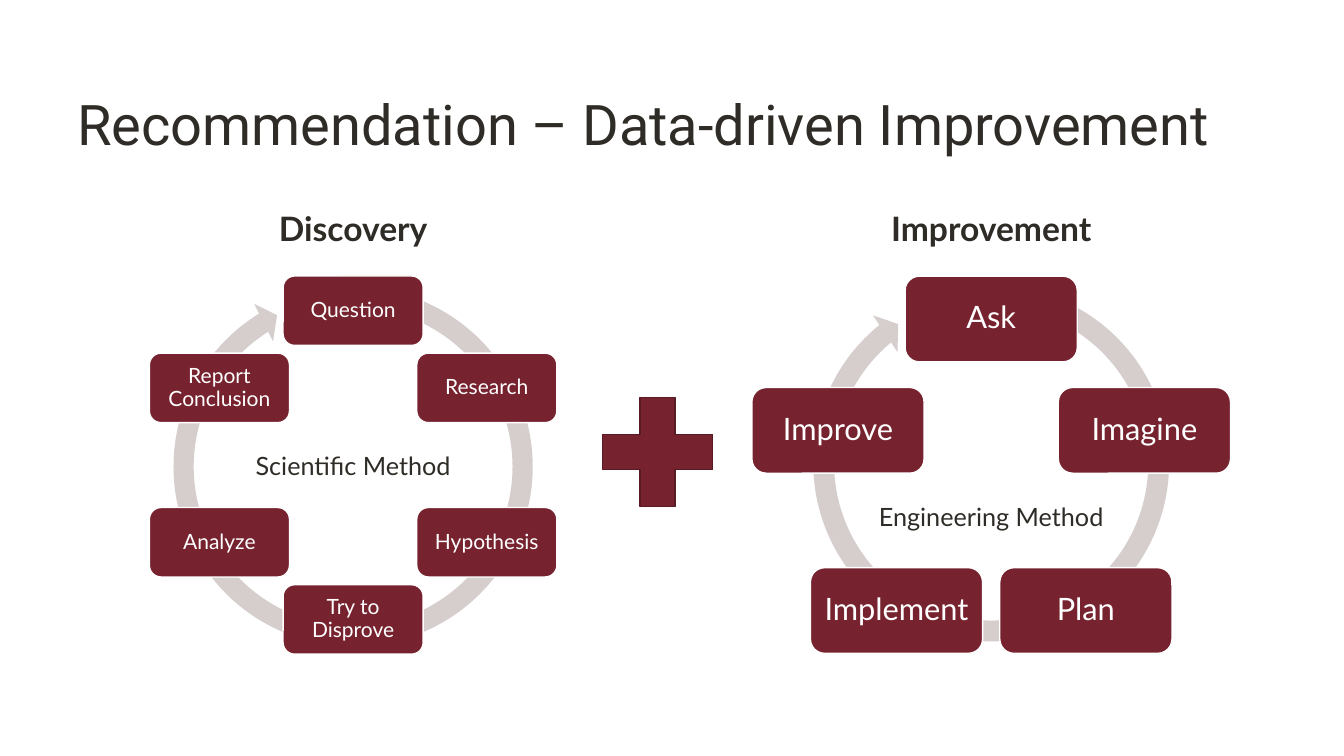
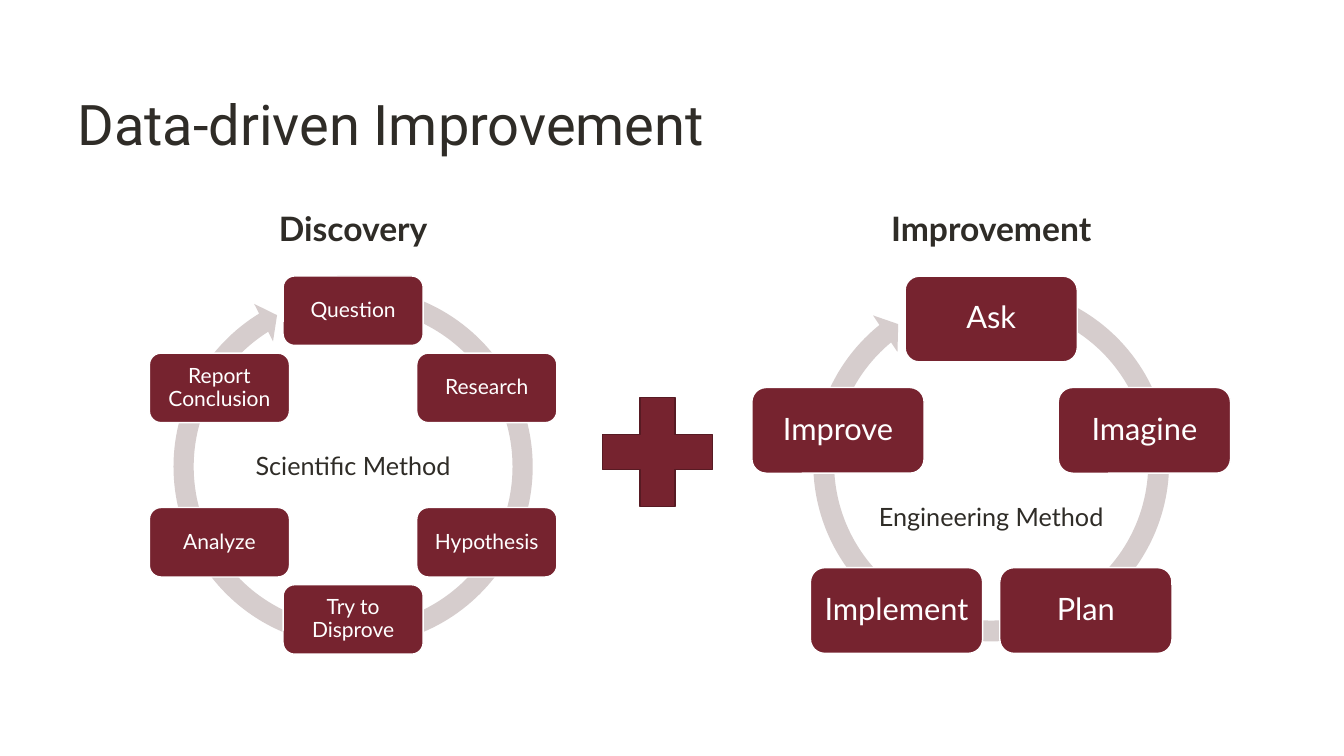
from math import cos, pi, sin
from pptx import Presentation
from pptx.dml.color import RGBColor
from pptx.enum.shapes import MSO_SHAPE
from pptx.enum.text import MSO_ANCHOR, PP_ALIGN
from pptx.util import Cm, Pt

COLORS = {"ink": "2F2C27", "maroon": "76232F", "edge": "571A23", "ring": "D6CDCD", "white": "FFFFFF"}
TITLES = ["Recommendation – Data-driven Improvement", "Data-driven Improvement"]
CYCLES = [
    dict(heading="Improvement", label="Engineering Method", label_y=12.52,
         steps=["Ask", "Imagine", "Plan", "Implement", "Improve"],
         cx=24.98, cy=12.1, radius=4.06, box_w=4.34, box_h=2.16, size=22, inset=0.22,
         ring_y=11.68, ring_d=9.55, ring_adj=[0.055, 3.307, 138.466, 173.431, 0.058]),
    dict(heading="Discovery", label="Scientific Method", label_y=11.23,
         steps=["Question", "Research", "Hypothesis", "Try to Disprove", "Analyze", "Report Conclusion"],
         cx=8.9, cy=11.72, radius=3.89, box_w=3.53, box_h=1.75, size=15, inset=0.15,
         ring_y=11.76, ring_d=9.6, ring_adj=[0.053, 3.126, 142.881, 170.92, 0.055]),
]


def add_figure(s, kind, x, y, w, h, fill, line=None):
    sp = s.shapes.add_shape(kind, Cm(x), Cm(y), Cm(w), Cm(h))
    sp.shadow.inherit = False
    sp.fill.solid()
    sp.fill.fore_color.rgb = RGBColor.from_string(COLORS[fill])
    if line:
        sp.line.color.rgb = RGBColor.from_string(COLORS[line])
        sp.line.width = Pt(1)
    else:
        sp.line.fill.background()
    return sp


def set_text(sp, text, size, color="ink", font="Lato", bold=False,
             align=PP_ALIGN.CENTER, spacing=0.9, anchor=MSO_ANCHOR.MIDDLE):
    tf = sp.text_frame
    tf.word_wrap = True
    tf.vertical_anchor = anchor
    p = tf.paragraphs[0]
    p.text = text
    p.alignment = align
    p.line_spacing = spacing
    p.font.name = font
    p.font.size = Pt(size)
    p.font.bold = bold
    p.font.color.rgb = RGBColor.from_string(COLORS[color])
    return tf


prs = Presentation()
prs.slide_width, prs.slide_height = Cm(33.87), Cm(19.05)

for title in TITLES:
    s = prs.slides.add_slide(prs.slide_layouts[6])
    sp = s.shapes.add_textbox(Cm(1.7), Cm(1.7), Cm(30.48), Cm(3))
    set_text(sp, title, 40, font="Roboto", align=PP_ALIGN.LEFT)

    for c in CYCLES:
        sp = s.shapes.add_textbox(Cm(c["cx"] - 7.2), Cm(4.67), Cm(14.4), Cm(2.29))
        tf = set_text(sp, c["heading"], 24, bold=True)
        tf.paragraphs[0].space_before = Pt(10)

        d = c["ring_d"]
        ring = add_figure(s, MSO_SHAPE.CIRCULAR_ARROW, c["cx"] - d / 2, c["ring_y"] - d / 2, d, d, "ring")
        for i, value in enumerate(c["ring_adj"]):
            ring.adjustments[i] = value

        w, h = c["box_w"], c["box_h"]
        for i, step in enumerate(c["steps"]):
            angle = 2 * pi * i / len(c["steps"])
            x = c["cx"] + c["radius"] * sin(angle) - w / 2
            y = c["cy"] - c["radius"] * cos(angle) - h / 2
            box = add_figure(s, MSO_SHAPE.ROUNDED_RECTANGLE, x, y, w, h, "maroon", "white")
            tf = set_text(box, step, c["size"], "white")
            tf.margin_left = tf.margin_right = tf.margin_top = tf.margin_bottom = Cm(c["inset"])

        sp = s.shapes.add_textbox(Cm(c["cx"] - 3.52), Cm(c["label_y"]), Cm(7.04), Cm(1.02))
        set_text(sp, c["label"], 18, spacing=1.0, anchor=MSO_ANCHOR.TOP)

    add_figure(s, MSO_SHAPE.MATH_PLUS, 14.68, 9.53, 3.78, 3.73, "maroon", "edge")

prs.save("out.pptx")
